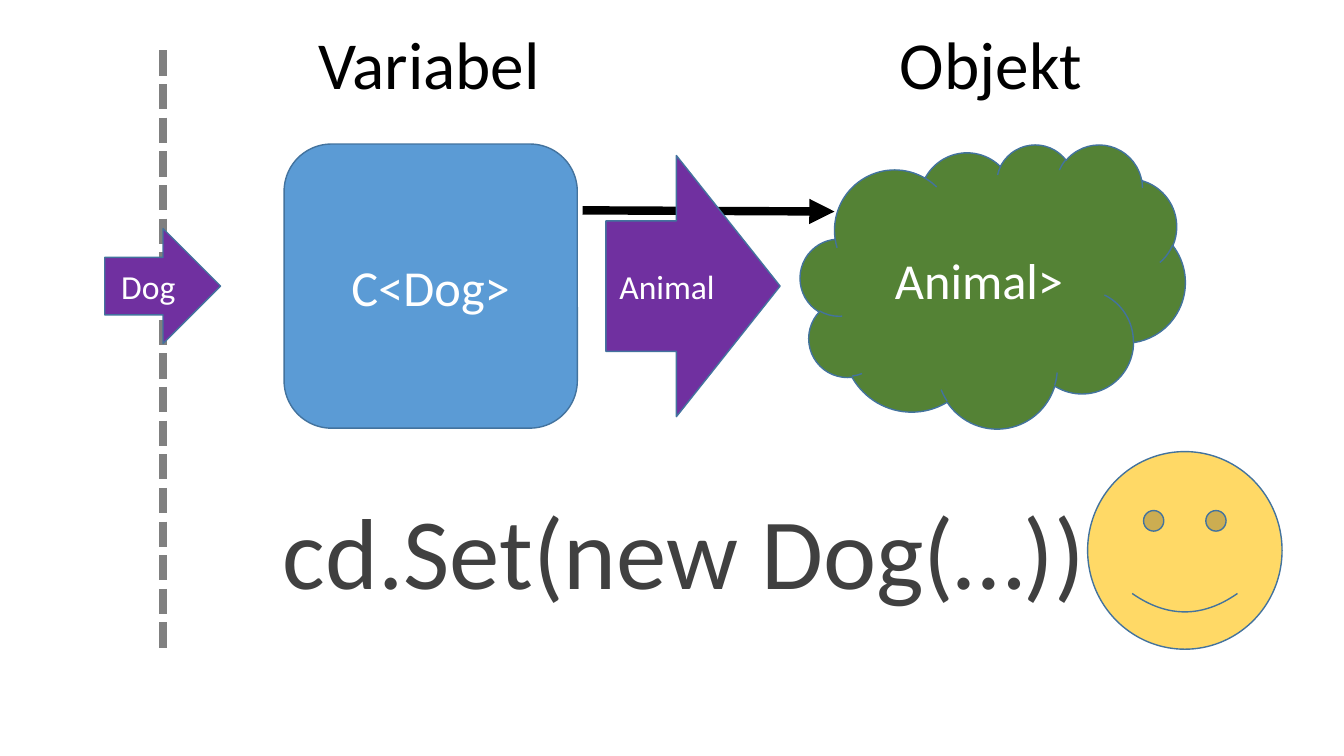
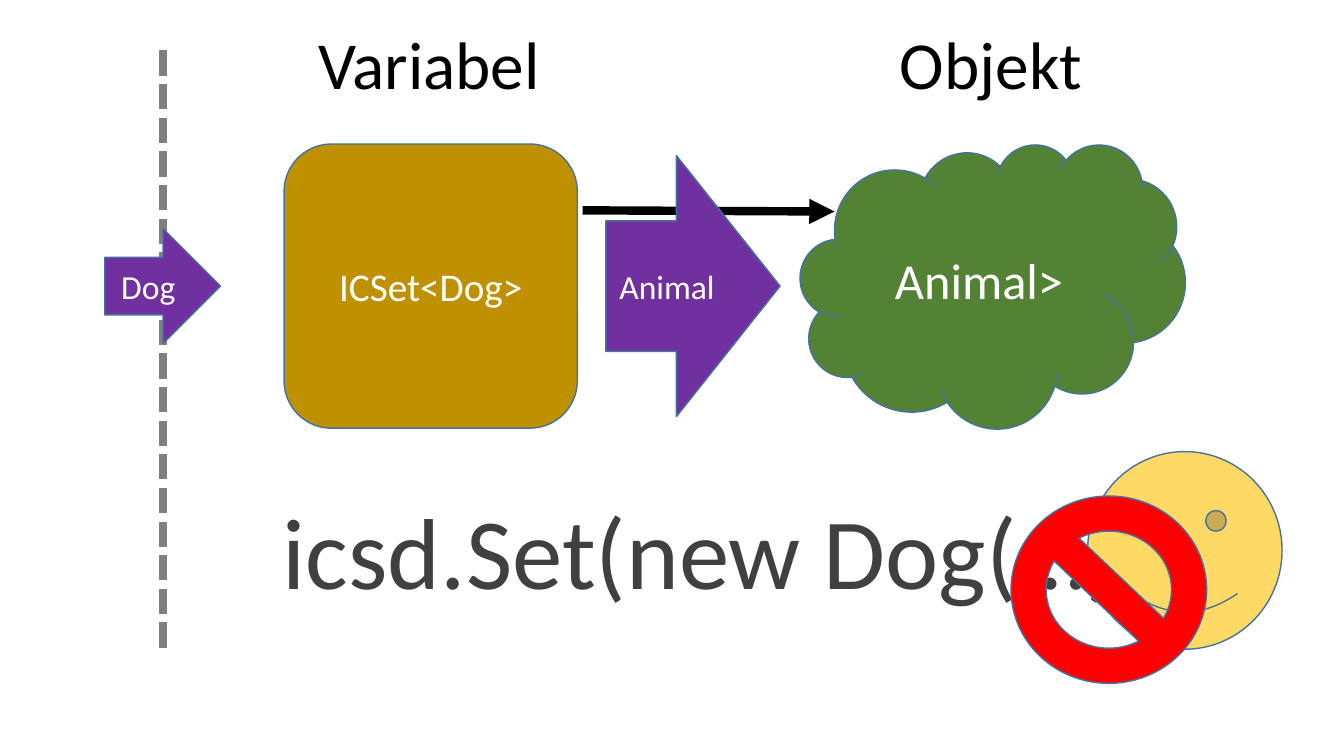
from dataclasses import dataclass

from lxml import etree
from pptx import Presentation
from pptx.dml.color import RGBColor
from pptx.enum.dml import MSO_LINE
from pptx.enum.shapes import MSO_CONNECTOR, MSO_SHAPE
from pptx.enum.text import MSO_ANCHOR, MSO_AUTO_SIZE, PP_ALIGN
from pptx.oxml.ns import qn
from pptx.util import Cm, Pt

ROUNDED = MSO_SHAPE.ROUNDED_RECTANGLE
CLOUD = MSO_SHAPE.CLOUD
SMILEY = MSO_SHAPE.SMILEY_FACE
ARROW = MSO_SHAPE.RIGHT_ARROW
PROHIBITED = MSO_SHAPE.NO_SYMBOL
STRAIGHT = MSO_CONNECTOR.STRAIGHT
DASHED = MSO_LINE.SQUARE_DOT
CENTER = PP_ALIGN.CENTER
MIDDLE = MSO_ANCHOR.MIDDLE
FIT_TEXT = MSO_AUTO_SIZE.SHAPE_TO_FIT_TEXT


@dataclass(frozen=True)
class Theme:
    font: str = "Calibri"
    heading: str = "000000"
    code: str = "404040"
    label: str = "FFFFFF"
    outline: str = "43739E"
    divider: str = "808080"
    pointer: str = "000000"
    class_type: str = "5B9BD5"
    interface_type: str = "BF9000"
    object: str = "548235"
    value: str = "7030A0"
    smiley: str = "FFD966"
    forbidden: str = "FF0000"
    heading_size: int = 48
    code_size: int = 72
    type_size: int = 36
    long_type_size: int = 28
    value_size: int = 24
    outline_width: int = 1
    line_width: int = 6


THEME = Theme()
ROW_TOP, ROW_HEIGHT = 3.63, 7.16
ROW_MIDDLE = ROW_TOP + ROW_HEIGHT / 2


def rgb(color):
    return RGBColor.from_string(color)


def write(text_frame, text, size, color):
    text_frame.text = text
    font = text_frame.paragraphs[0].runs[0].font
    font.name = THEME.font
    font.size = Pt(size)
    font.color.rgb = rgb(color)


def add_figure(slide, preset, box, fill, text="", size=THEME.type_size):
    """Add an outlined preset shape; box is left, top, width, height in cm."""
    figure = slide.shapes.add_shape(preset, *map(Cm, box))
    figure.shadow.inherit = False
    figure.fill.solid()
    figure.fill.fore_color.rgb = rgb(fill)
    figure.line.color.rgb = rgb(THEME.outline)
    figure.line.width = Pt(THEME.outline_width)
    if text:
        write(figure.text_frame, text, size, THEME.label)
        figure.text_frame.vertical_anchor = MIDDLE
        figure.text_frame.paragraphs[0].alignment = CENTER
    return figure


def add_text(slide, box, text, size, color):
    text_frame = slide.shapes.add_textbox(*map(Cm, box)).text_frame
    text_frame.word_wrap = False
    text_frame.auto_size = FIT_TEXT
    write(text_frame, text, size, color)


def add_line(slide, start, end, color):
    line = slide.shapes.add_connector(STRAIGHT, *map(Cm, start + end))
    line.line.color.rgb = rgb(color)
    line.line.width = Pt(THEME.line_width)
    etree.SubElement(line._element.spPr, qn("a:effectLst"))
    return line


def add_divider(slide):
    divider = add_line(slide, (4.11, 1.27), (4.11, 16.51), THEME.divider)
    divider.line.dash_style = DASHED


def add_pointer(slide):
    pointer = add_line(slide, (14.68, 5.3), (21.03, 5.33), THEME.pointer)
    outline = pointer.line._get_or_add_ln()
    etree.SubElement(outline, qn("a:tailEnd"), type="triangle")


def add_value_arrow(slide, left, width, height, text):
    """Add an arrow that is centred on the row of variable and object."""
    box = (left, ROW_MIDDLE - height / 2, width, height)
    return add_figure(slide, ARROW, box, THEME.value, text, THEME.value_size)


def add_variable(slide, text, fill, size):
    add_figure(slide, ROUNDED, (7.16, ROW_TOP, 7.39, ROW_HEIGHT), fill, text, size)


def add_diagram(slide, call, call_width):
    """Add everything around the variable, with the method call below."""
    add_figure(slide, CLOUD, (20.17, ROW_TOP, 9.7, ROW_HEIGHT), THEME.object, "Animal>")
    for left, width, heading in ((7.77, 6.15, "Variabel"), (22.43, 5.16, "Objekt")):
        add_text(slide, (left, 0.43, width, 2.31), heading,
                 THEME.heading_size, THEME.heading)
    add_text(slide, (6.88, 12.19, call_width, 3.33), call, THEME.code_size, THEME.code)
    add_divider(slide)
    add_pointer(slide)
    add_figure(slide, SMILEY, (27.41, 11.38, 4.9, 4.98), THEME.smiley)
    add_value_arrow(slide, 2.64, 2.92, 2.9, "Dog")
    parameter = add_value_arrow(slide, 15.27, 4.39, 6.58, "Animal")
    parameter.adjustments[1] = 0.595


def main():
    deck = Presentation()
    deck.slide_width, deck.slide_height = Cm(33.87), Cm(19.05)
    blank = deck.slide_layouts[6]

    allowed = deck.slides.add_slide(blank)
    add_variable(allowed, "C<Dog>", THEME.class_type, THEME.type_size)
    add_diagram(allowed, "cd.Set(new Dog(…))", 20.96)

    rejected = deck.slides.add_slide(blank)
    add_diagram(rejected, "icsd.Set(new Dog(…))", 22.53)
    add_variable(rejected, "ICSet<Dog>", THEME.interface_type, THEME.long_type_size)
    add_figure(rejected, PROHIBITED, (25.48, 12.5, 4.93, 4.72), THEME.forbidden)

    deck.save("out.pptx")


if __name__ == "__main__":
    main()
